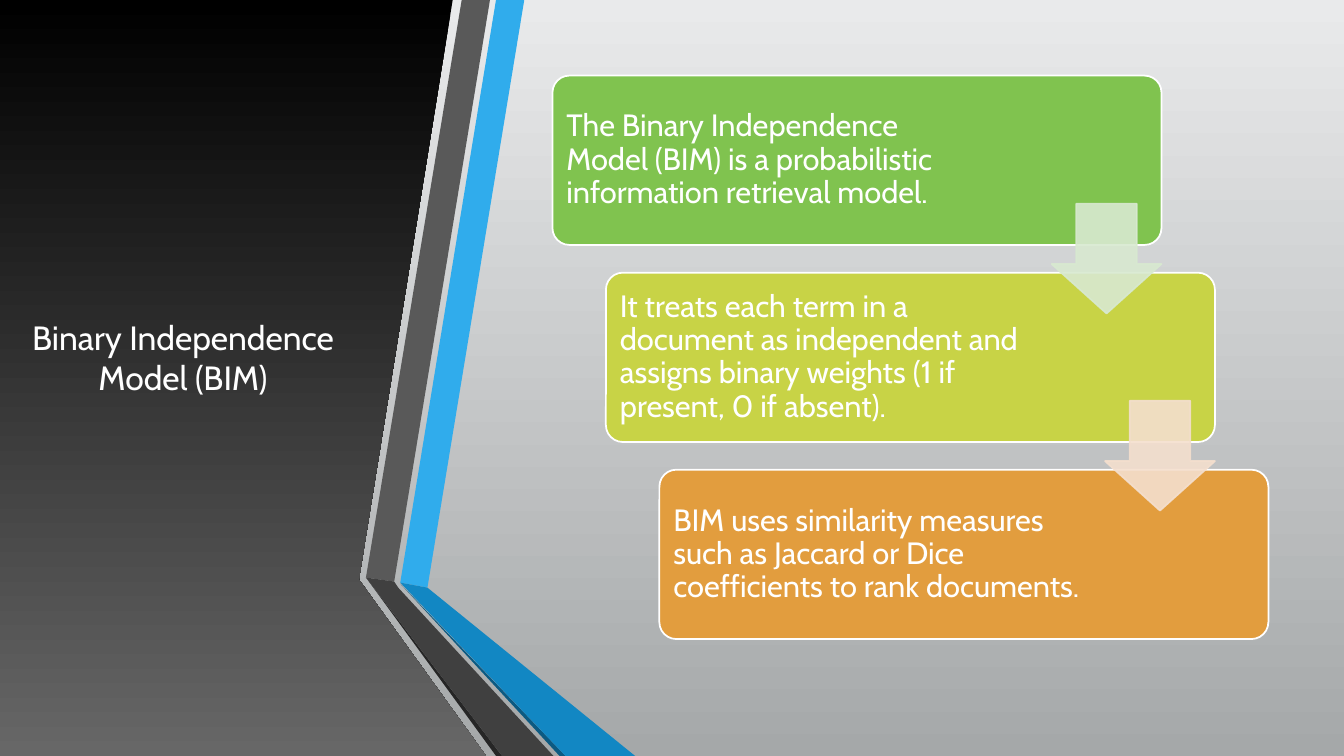
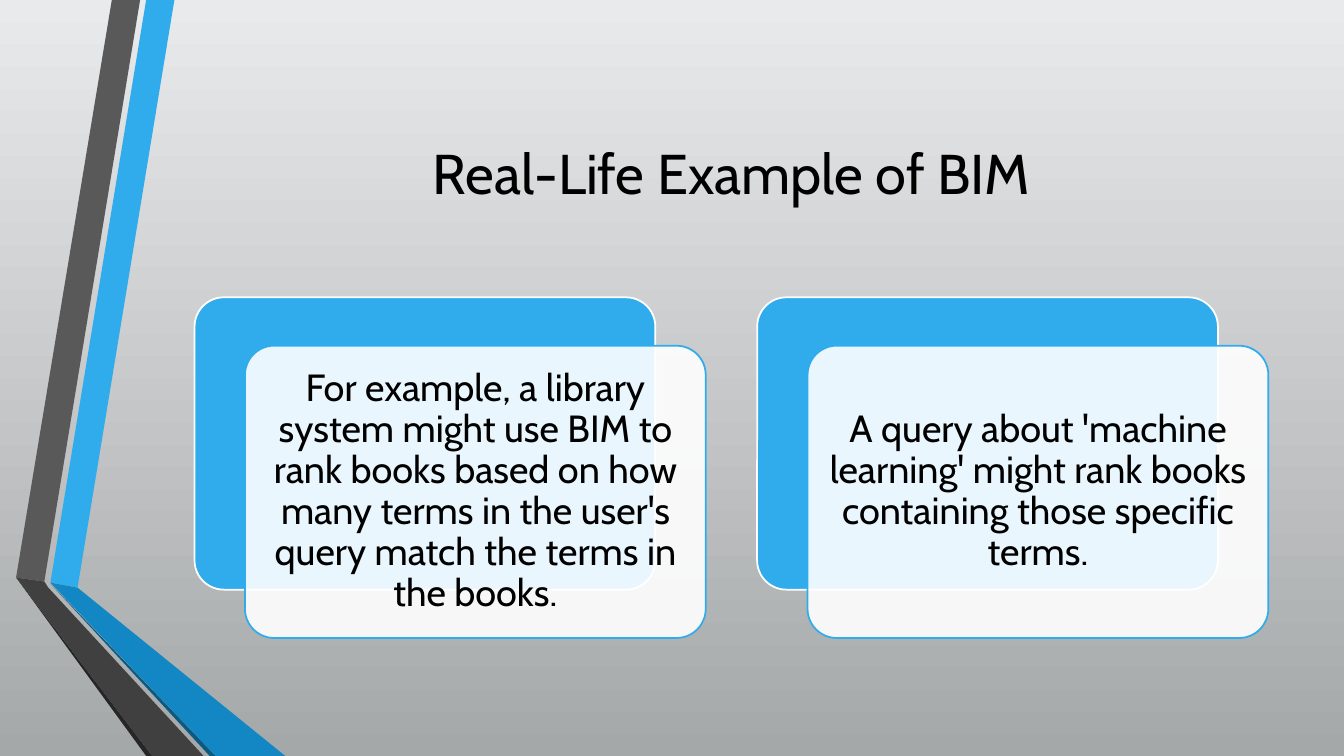
from lxml.etree import SubElement
from pptx import Presentation
from pptx.dml.color import RGBColor
from pptx.enum.shapes import MSO_SHAPE as SHAPE
from pptx.enum.text import MSO_ANCHOR as ANCHOR, PP_ALIGN as ALIGN
from pptx.oxml.ns import qn
from pptx.util import Inches, Pt

COLORS = {
    "bg_top": "E9EAEB", "bg_bottom": "A5A8A9",
    "panel_top": "000000", "panel_bottom": "676767",
    "blue": "30ACEC", "blue_fold": "1287C3", "blue_edge": "0C5A82",
    "gray": "595959", "gray_fold": "404040", "gray_edge": "262626",
    "white": "FFFFFF", "black": "000000",
    "green": "80C34F", "lime": "C8D346", "orange": "E29D3E",
    "green_tint": "D8E9D0", "orange_tint": "F4DFCE",
}
FONT = "Cabin"
WIDTH, HEIGHT = 13.33, 7.5
RIBBON_W = 2.67
RIBBON = [
    ("blue", [(0.34, 5.78), (0.61, 5.83), (1.57, 0), (1.29, 0)]),
    ("gray", [(1.23, 0), (0.95, 0), (0, 5.73), (0.28, 5.77)]),
    ("gray_edge", [(0, 5.73), (1.29, HEIGHT), (1.35, HEIGHT)]),
    ("blue_edge", [(0.34, 5.79), (1.92, HEIGHT), (1.98, HEIGHT)]),
    ("blue_fold", [(0.34, 5.78), (1.98, HEIGHT), (RIBBON_W, HEIGHT), (0.61, 5.83)]),
    ("gray_fold", [(1.86, HEIGHT), (0.32, 5.83), (0.28, 5.77), (0, 5.73), (1.35, HEIGHT)]),
]
PANEL = [(0, 0), (4.49, 0), (3.56, 5.75), (4.82, HEIGHT), (0, HEIGHT)]
STEPS = [
    ("green", "The Binary Independence Model (BIM) is a probabilistic information retrieval model."),
    ("lime", "It treats each term in a document as independent and assigns binary weights "
             "(1 if present, 0 if absent)."),
    ("orange", "BIM uses similarity measures such as Jaccard or Dice coefficients to rank documents."),
]
ARROW_TINTS = ["green_tint", "orange_tint"]
EXAMPLES = [
    "For example, a library system might use BIM to rank books based on how many terms "
    "in the user's query match the terms in the books.",
    "A query about 'machine learning' might rank books containing those specific terms.",
]


def rgb(name):
    """Return the named palette colour."""
    return RGBColor.from_string(COLORS[name])


def set_attrs(obj, values):
    """Set every attribute of obj listed in values."""
    for name, value in values.items():
        setattr(obj, name, value)


def paint_gradient(fill, top, bottom):
    """Fill from one colour at the top to another at the bottom."""
    fill.gradient()
    fill.gradient_angle = 270
    for stop, name in zip(fill.gradient_stops, (top, bottom)):
        stop.color.rgb = rgb(name)


def paint_solid(fill, color, alpha=100):
    """Fill with one colour at an opacity in percent."""
    fill.solid()
    fill.fore_color.rgb = rgb(color)
    if alpha < 100:
        for clr in fill._xPr.iter(qn("a:srgbClr")):
            SubElement(clr, qn("a:alpha"), val=str(alpha * 1000))


def add_outline(s, points, x=0):
    """Add a closed polygon without a border, shifted right by x."""
    pts = [(Inches(x + px), Inches(py)) for px, py in points]
    builder = s.shapes.build_freeform(*pts[0])
    builder.add_line_segments(pts[1:], close=True)
    sp = builder.convert_to_shape()
    sp.shadow.inherit = False
    sp.line.fill.background()
    return sp


def add_preset(s, kind, box, adjust, fill, line, alpha=100, line_alpha=100):
    """Add a preset shape with a colour and a thin border."""
    sp = s.shapes.add_shape(kind, *map(Inches, box))
    sp.shadow.inherit = False
    for i, value in enumerate(adjust):
        sp.adjustments[i] = value
    paint_solid(sp.fill, fill, alpha)
    paint_solid(sp.line.fill, line, line_alpha)
    sp.line.width = Pt(1.25)
    return sp


def write(sp, text, size, color, align, spacing=1.0, margins=(0.1, 0.05, 0.1, 0.05)):
    """Write one vertically centred paragraph into a shape."""
    tf = sp.text_frame
    sides = ("margin_left", "margin_top", "margin_right", "margin_bottom")
    set_attrs(tf, {"word_wrap": True, "vertical_anchor": ANCHOR.MIDDLE,
                   **dict(zip(sides, map(Inches, margins)))})
    p = tf.paragraphs[0]
    set_attrs(p, {"alignment": align, "line_spacing": spacing})
    r = p.add_run()
    r.text = text
    set_attrs(r.font, {"name": FONT, "size": Pt(size)})
    r.font.color.rgb = rgb(color)


def add_title(s, box, text, size, color):
    """Add a centred slide title."""
    sp = s.shapes.add_textbox(*map(Inches, box))
    write(sp, text, size, color, ALIGN.CENTER)


def add_ribbon(s, x):
    """Draw the folded two-colour ribbon with its left tip at x."""
    for color, points in RIBBON:
        paint_solid(add_outline(s, points, x).fill, color)


def add_slide(prs):
    """Add a blank slide with the shared background."""
    s = prs.slides.add_slide(prs.slide_layouts[6])
    paint_gradient(s.background.fill, "bg_top", "bg_bottom")
    return s


def add_staircase(s, x, y, w, h):
    """Place the step cards diagonally in a box, joined by arrows."""
    card_w, card_h, arrow = 6.04, 1.68, 1.09
    dx, dy = ((total - card) / (len(STEPS) - 1) for total, card in ((w, card_w), (h, card_h)))
    for i, (color, text) in enumerate(STEPS):
        box = (x + i * dx, y + i * dy, card_w, card_h)
        sp = add_preset(s, SHAPE.ROUNDED_RECTANGLE, box, [0.1], color, "white")
        write(sp, text, 22, "white", ALIGN.LEFT, 0.9, (0.09, 0.09, 1.76, 0.09))
    for i, color in enumerate(ARROW_TINTS):
        box = (x + i * dx + card_w - arrow, y + i * dy + 1.27, arrow, arrow)
        add_preset(s, SHAPE.DOWN_ARROW, box, [0.55, 0.45], color, color, 90, 90)


def add_layered_card(s, x, y, w, h, text):
    """Place a blue card with an offset white text card inside a box."""
    dx, dy = 0.5, 0.48
    size = (w - dx, h - dy)
    add_preset(s, SHAPE.ROUNDED_RECTANGLE, (x, y, *size), [0.1], "blue", "white")
    front = add_preset(s, SHAPE.ROUNDED_RECTANGLE, (x + dx, y + dy, *size), [0.1],
                       "white", "blue", 90)
    write(front, text, 27, "black", ALIGN.CENTER, 0.9, (0.11,) * 4)


def add_model_slide(prs):
    """Build the slide that explains the model in three steps."""
    s = add_slide(prs)
    paint_gradient(add_outline(s, PANEL).fill, "panel_top", "panel_bottom")
    add_title(s, (0.16, 0.75, 3.31, 5.58), "Binary Independence Model (BIM)", 24, "white")
    add_ribbon(s, 3.63)
    add_staircase(s, 5.48, 0.75, 7.1, 5.59)


def add_example_slide(prs):
    """Build the slide with the two real-life examples."""
    s = add_slide(prs)
    add_ribbon(s, 0.16)
    x, w, card_w = 1.93, 10.65, 5.07
    add_title(s, (x, 0.75, w, 1.92), "Real-Life Example of BIM", 40, "black")
    pitch = (w - card_w) / (len(EXAMPLES) - 1)
    for i, text in enumerate(EXAMPLES):
        add_layered_card(s, x + i * pitch, 2.95, card_w, 3.38, text)


def main():
    """Build and save the presentation."""
    prs = Presentation()
    set_attrs(prs, {"slide_width": Inches(WIDTH), "slide_height": Inches(HEIGHT)})
    add_model_slide(prs)
    add_example_slide(prs)
    prs.save("out.pptx")


if __name__ == "__main__":
    main()
